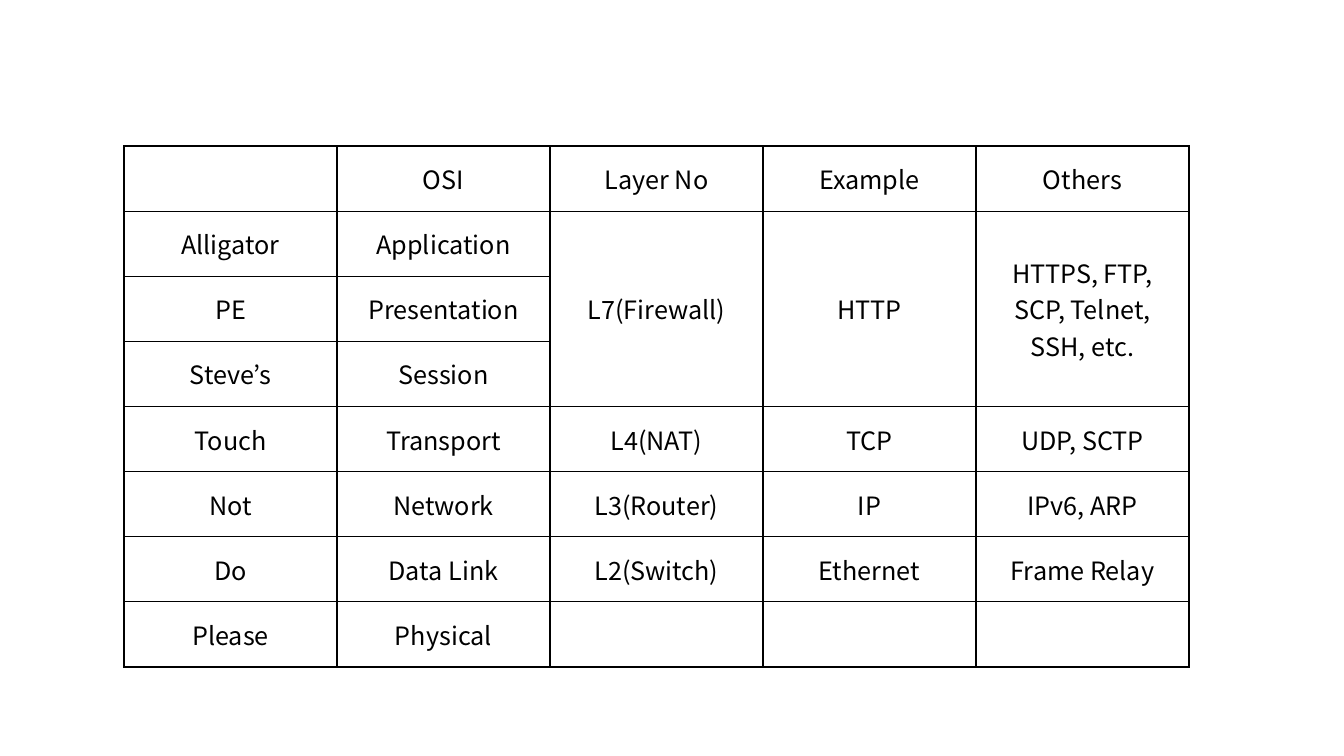
"""Build a slide with a table of the OSI layers, a mnemonic and example protocols."""
import lxml.etree
import pptx
import pptx.dml.color
import pptx.enum.text
import pptx.oxml.ns
import pptx.util

ROWS = [
    ("", "OSI", "Layer No", "Example", "Others"),
    ("Alligator", "Application", "L7(Firewall)", "HTTP", "HTTPS, FTP, SCP, Telnet, SSH, etc."),
    ("PE", "Presentation", "", "", ""),
    ("Steve’s", "Session", "", "", ""),
    ("Touch", "Transport", "L4(NAT)", "TCP", "UDP, SCTP"),
    ("Not", "Network", "L3(Router)", "IP", "IPv6, ARP"),
    ("Do", "Data Link", "L2(Switch)", "Ethernet", "Frame Relay"),
    ("Please", "Physical", "", "", ""),
]
MERGED_COLUMNS = (2, 3, 4)
MERGED_ROWS = (1, 3)
COLORS = {"text": "000000", "border": "000000"}
FONT = "Noto Sans CJK KR"
PIXEL = 914400 / 100.8
LEFT, TOP, WIDTH, HEIGHT = 124, 146, 1065, 521


def emu(pixels):
    """Convert pixels to EMU."""
    return pptx.util.Emu(round(pixels * PIXEL))


def add_borders(cell):
    """Draw a thin line on all four sides of a cell."""
    properties = cell._tc.get_or_add_tcPr()
    for side in ("lnL", "lnR", "lnT", "lnB"):
        line = lxml.etree.SubElement(properties, pptx.oxml.ns.qn(f"a:{side}"), w=str(pptx.util.Pt(1)))
        fill = lxml.etree.SubElement(line, pptx.oxml.ns.qn("a:solidFill"))
        lxml.etree.SubElement(fill, pptx.oxml.ns.qn("a:srgbClr"), val=COLORS["border"])


def fill_cell(cell, text):
    """Write centred text into a bordered, unfilled cell."""
    cell.text = text
    cell.vertical_anchor = pptx.enum.text.MSO_ANCHOR.MIDDLE
    paragraph = cell.text_frame.paragraphs[0]
    paragraph.alignment = pptx.enum.text.PP_ALIGN.CENTER
    paragraph.font.name = FONT
    paragraph.font.size = pptx.util.Pt(18)
    paragraph.font.color.rgb = pptx.dml.color.RGBColor.from_string(COLORS["text"])
    add_borders(cell)
    cell.fill.background()


presentation = pptx.Presentation()
presentation.slide_width = emu(1344)
presentation.slide_height = emu(756)
slide = presentation.slides.add_slide(presentation.slide_layouts[6])

table = slide.shapes.add_table(
    len(ROWS), len(ROWS[0]), emu(LEFT), emu(TOP), emu(WIDTH), emu(HEIGHT)
).table
table.first_row = False
table.horz_banding = False

for row_index, row in enumerate(ROWS):
    for column_index, text in enumerate(row):
        fill_cell(table.cell(row_index, column_index), text)

first_row, last_row = MERGED_ROWS
for column_index in MERGED_COLUMNS:
    table.cell(first_row, column_index).merge(table.cell(last_row, column_index))

presentation.save("out.pptx")
